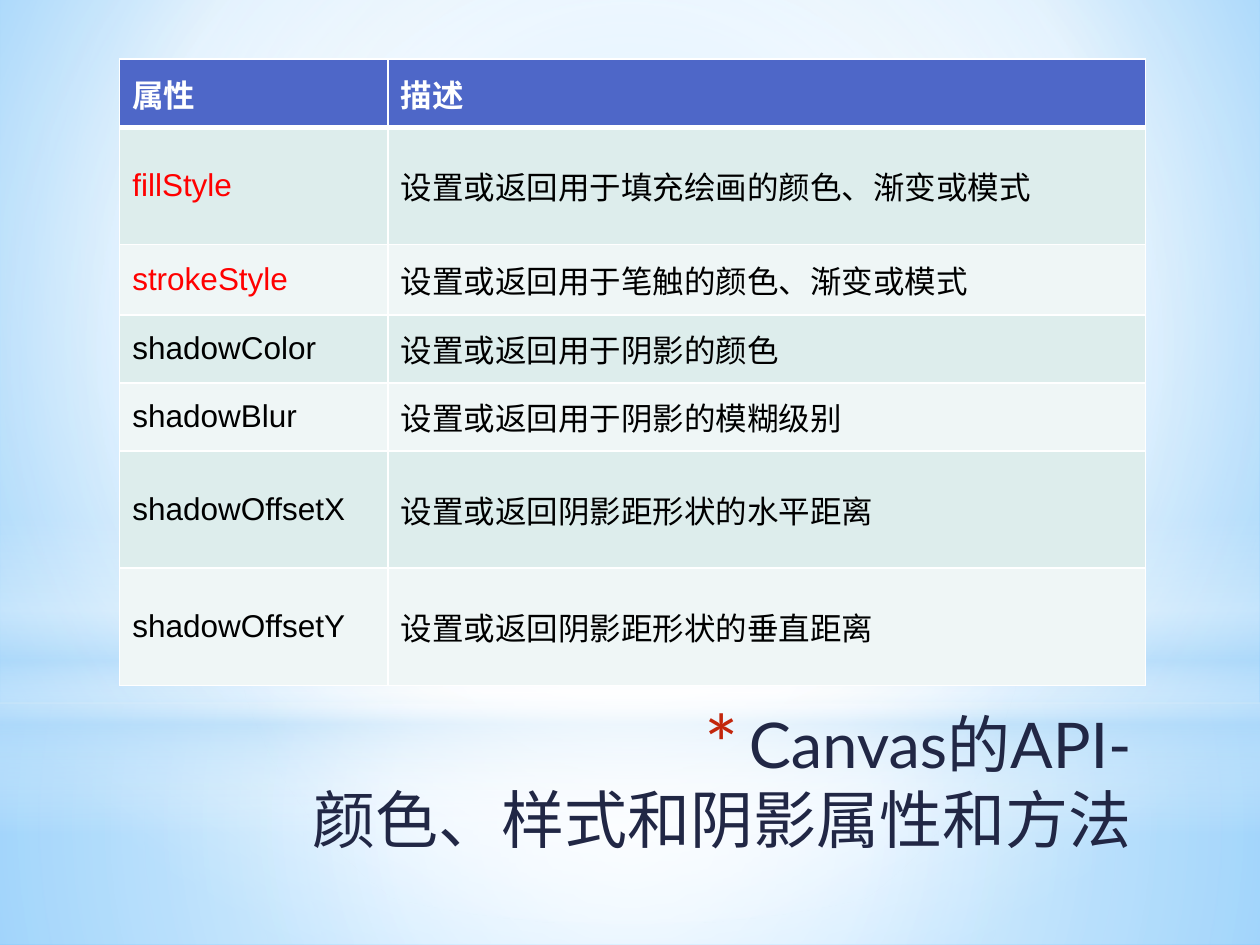
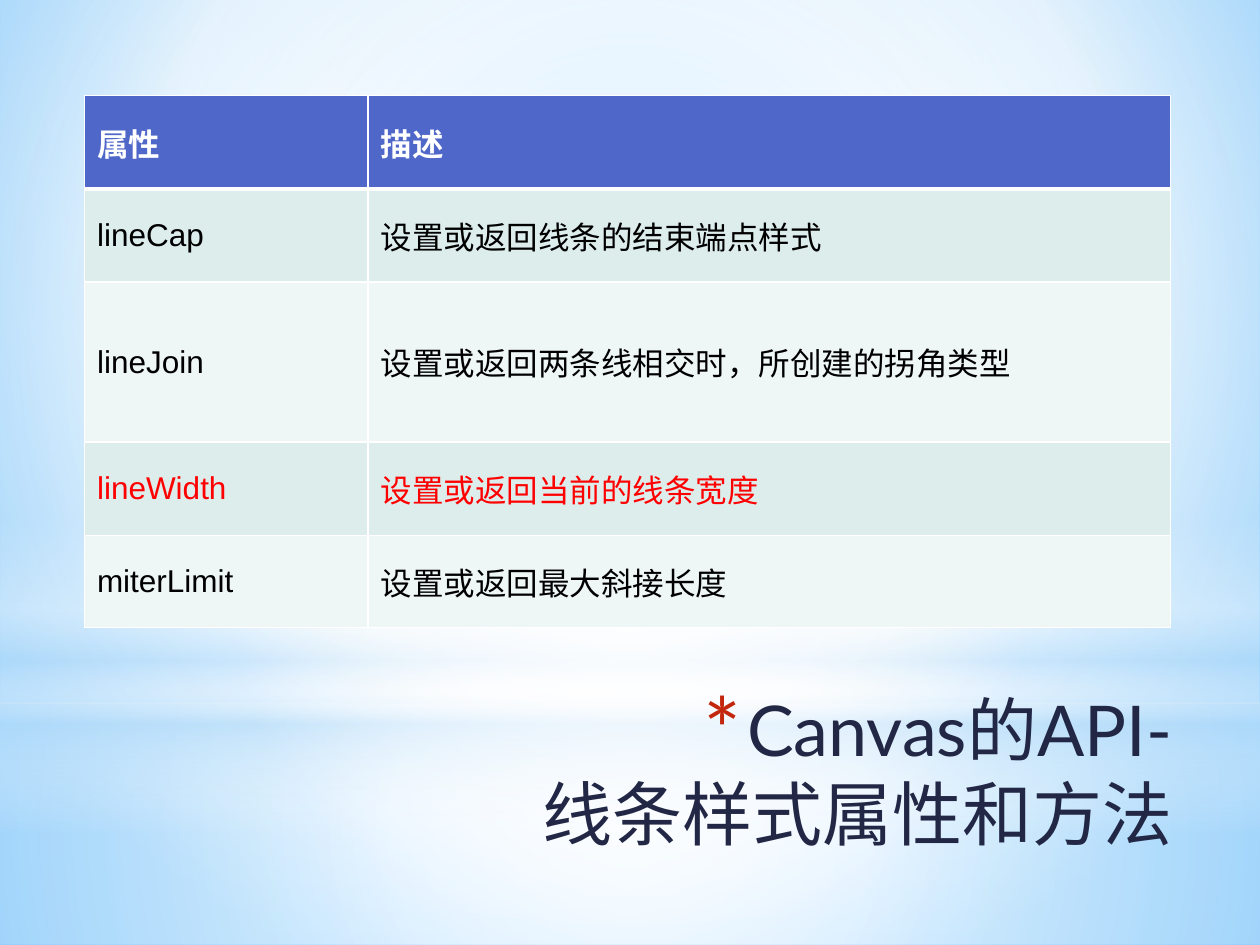
from dataclasses import dataclass

from lxml import etree
from pptx import Presentation
from pptx.dml.color import RGBColor
from pptx.enum.shapes import MSO_SHAPE
from pptx.enum.text import MSO_ANCHOR, PP_ALIGN
from pptx.oxml.ns import qn
from pptx.util import Inches, Pt

RECTANGLE = MSO_SHAPE.RECTANGLE
OVAL = MSO_SHAPE.OVAL
MIDDLE = MSO_ANCHOR.MIDDLE
RIGHT = PP_ALIGN.RIGHT

WHITE = RGBColor(0xFF, 0xFF, 0xFF)
BLACK = RGBColor(0x00, 0x00, 0x00)
RED = RGBColor(0xFF, 0x00, 0x00)
NAVY = RGBColor(0x21, 0x27, 0x45)
RUST = RGBColor(0xC3, 0x26, 0x0C)
HEADER_BLUE = RGBColor(0x4E, 0x67, 0xC8)
BAND_DARK = RGBColor(0xDD, 0xED, 0xEC)
BAND_LIGHT = RGBColor(0xEF, 0xF6, 0xF6)
PALE_BLUE = RGBColor(0xB4, 0xDC, 0xFA)
SKY = RGBColor(0x9E, 0xD5, 0xFF)
DEEP_SKY = RGBColor(0x5B, 0xB9, 0xFF)

TITLE_FONT = "Lato"
TABLE_FONT = "Arial"
TABLE_SIZE = 18
TITLE_WIDTH, TITLE_HEIGHT = 7.12, 1.25
TITLE_INDENT = Inches(0.35)
THIN, THICK = Pt(1), Pt(3)
CENTRE = (50, 50, 50, 50)


@dataclass(frozen=True)
class Stop:
    position: int
    color: RGBColor
    opacity: int = 100


@dataclass(frozen=True)
class Gradient:
    stops: tuple[Stop, ...]
    focus: tuple[int, int, int, int] | None = CENTRE


@dataclass(frozen=True)
class Glow:
    kind: MSO_SHAPE
    top: float
    height: float
    gradient: Gradient


@dataclass(frozen=True)
class Row:
    name: str
    description: str
    height: float
    name_color: RGBColor = BLACK
    description_color: RGBColor = BLACK


@dataclass(frozen=True)
class PropertySlide:
    title_lines: tuple[str, str]
    title_size: int
    title_left: float
    title_top: float
    table_left: float
    table_top: float
    column_widths: tuple[float, float]
    rows: tuple[Row, ...]


BACKGROUND = Gradient(
    (Stop(0, SKY), Stop(60, WHITE), Stop(100, DEEP_SKY)), (20, 10, 20, 60)
)

GLOWS = (
    Glow(RECTANGLE, 5.58, 1.92, Gradient(
        (Stop(0, WHITE, 91), Stop(37, WHITE, 76), Stop(100, PALE_BLUE, 79)))),
    Glow(RECTANGLE, 0, 5.58, Gradient(
        (Stop(0, WHITE, 89), Stop(48, WHITE, 62), Stop(100, PALE_BLUE, 79)))),
    Glow(RECTANGLE, 4.12, 2.5, Gradient(
        (Stop(0, WHITE, 0), Stop(29, WHITE, 30), Stop(45, PALE_BLUE, 40),
         Stop(55, WHITE, 26), Stop(65, PALE_BLUE, 60), Stop(100, WHITE, 0)), None)),
    Glow(OVAL, 1.75, 5.58, Gradient((Stop(0, WHITE), Stop(56, WHITE, 0)))),
)

PROPERTY_SLIDES = (
    PropertySlide(
        ("Canvas的API-", "颜色、样式和阴影属性和方法"), 36, 1.96, 5.57,
        0.95, 0.47, (2.13, 6.01),
        (
            Row("属性", "描述", 0.54, WHITE, WHITE),
            Row("fillStyle", "设置或返回用于填充绘画的颜色、渐变或模式", 0.93, RED),
            Row("strokeStyle", "设置或返回用于笔触的颜色、渐变或模式", 0.56, RED),
            Row("shadowColor", "设置或返回用于阴影的颜色", 0.54),
            Row("shadowBlur", "设置或返回用于阴影的模糊级别", 0.54),
            Row("shadowOffsetX", "设置或返回阴影距形状的水平距离", 0.93),
            Row("shadowOffsetY", "设置或返回阴影距形状的垂直距离", 0.93),
        ),
    ),
    PropertySlide(
        ("Canvas的API-", "线条样式属性和方法"), 40, 2.28, 5.49,
        0.67, 0.76, (2.25, 6.37),
        (
            Row("属性", "描述", 0.74, WHITE, WHITE),
            Row("lineCap", "设置或返回线条的结束端点样式", 0.74),
            Row("lineJoin", "设置或返回两条线相交时，所创建的拐角类型", 1.27),
            Row("lineWidth", "设置或返回当前的线条宽度", 0.74, RED, RED),
            Row("miterLimit", "设置或返回最大斜接长度", 0.73),
        ),
    ),
)


def add_element(parent, tag: str, **attributes):
    values = {name: str(value) for name, value in attributes.items()}
    return etree.SubElement(parent, qn(tag), values)


def paint_gradient(fill, owner, gradient: Gradient) -> None:
    fill.gradient()
    element = next(owner.iter(qn("a:gradFill")))
    for child in list(element):
        element.remove(child)
    stop_list = add_element(element, "a:gsLst")
    for stop in gradient.stops:
        mark = add_element(stop_list, "a:gs", pos=stop.position * 1000)
        color = add_element(mark, "a:srgbClr", val=stop.color)
        if stop.opacity < 100:
            add_element(color, "a:alpha", val=stop.opacity * 1000)
    if gradient.focus is None:
        add_element(element, "a:lin", ang=90 * 60000, scaled=0)
    else:
        circle = add_element(element, "a:path", path="circle")
        edges = {side: edge * 1000 for side, edge in zip("ltrb", gradient.focus)}
        add_element(circle, "a:fillToRect", **edges)


def set_font(font, color: RGBColor, **formats) -> None:
    for name, value in formats.items():
        setattr(font, name, value)
    font.color.rgb = color


def add_glow(slide, glow: Glow) -> None:
    shape = slide.shapes.add_shape(
        glow.kind, 0, Inches(glow.top), Inches(10), Inches(glow.height)
    )
    shape.shadow.inherit = False
    shape.line.fill.background()
    paint_gradient(shape.fill, shape.element, glow.gradient)


def add_title(slide, content: PropertySlide) -> None:
    box = slide.shapes.add_textbox(
        Inches(content.title_left), Inches(content.title_top),
        Inches(TITLE_WIDTH), Inches(TITLE_HEIGHT),
    )
    frame = box.text_frame
    frame.word_wrap = True
    frame.vertical_anchor = MIDDLE
    paragraph = frame.paragraphs[0]
    paragraph.text = "\v".join(content.title_lines)
    paragraph.alignment = RIGHT
    for run in paragraph.runs:
        set_font(run.font, NAVY, name=TITLE_FONT, size=Pt(content.title_size))
    properties = paragraph._p.get_or_add_pPr()
    properties.set("marL", str(TITLE_INDENT))
    properties.set("indent", str(-TITLE_INDENT))
    add_element(add_element(properties, "a:buClr"), "a:srgbClr", val=RUST)
    add_element(properties, "a:buSzPct", val=128000)
    add_element(properties, "a:buFont", typeface=TITLE_FONT)
    add_element(properties, "a:buChar", char="*")


def set_borders(cell, row_index: int) -> None:
    widths = {
        "a:lnL": THIN,
        "a:lnR": THIN,
        "a:lnT": THICK if row_index == 1 else THIN,
        "a:lnB": THICK if row_index == 0 else THIN,
    }
    properties = cell._tc.get_or_add_tcPr()
    for index, (tag, width) in enumerate(widths.items()):
        line = add_element(properties, tag, w=int(width))
        add_element(add_element(line, "a:solidFill"), "a:srgbClr", val=WHITE)
        properties.insert(index, line)


def add_property_table(slide, content: PropertySlide) -> None:
    table = slide.shapes.add_table(
        len(content.rows), len(content.column_widths),
        Inches(content.table_left), Inches(content.table_top),
        Inches(sum(content.column_widths)),
        Inches(sum(row.height for row in content.rows)),
    ).table
    for column, width in zip(table.columns, content.column_widths):
        column.width = Inches(width)
    for row_index, row in enumerate(content.rows):
        table.rows[row_index].height = Inches(row.height)
        is_header = row_index == 0
        band = BAND_DARK if row_index % 2 else BAND_LIGHT
        entries = ((row.name, row.name_color), (row.description, row.description_color))
        for column_index, (text, color) in enumerate(entries):
            cell = table.cell(row_index, column_index)
            cell.text = text
            cell.vertical_anchor = MIDDLE
            cell.fill.solid()
            cell.fill.fore_color.rgb = HEADER_BLUE if is_header else band
            font = cell.text_frame.paragraphs[0].runs[0].font
            set_font(font, color, name=TABLE_FONT, size=Pt(TABLE_SIZE), bold=is_header)
            set_borders(cell, row_index)


def main() -> None:
    presentation = Presentation()
    presentation.slide_width = Inches(10)
    presentation.slide_height = Inches(7.5)
    master = presentation.slide_master
    paint_gradient(master.background.fill, master.element, BACKGROUND)
    for content in PROPERTY_SLIDES:
        slide = presentation.slides.add_slide(presentation.slide_layouts[6])
        for glow in GLOWS:
            add_glow(slide, glow)
        add_title(slide, content)
        add_property_table(slide, content)
    presentation.save("out.pptx")


if __name__ == "__main__":
    main()
